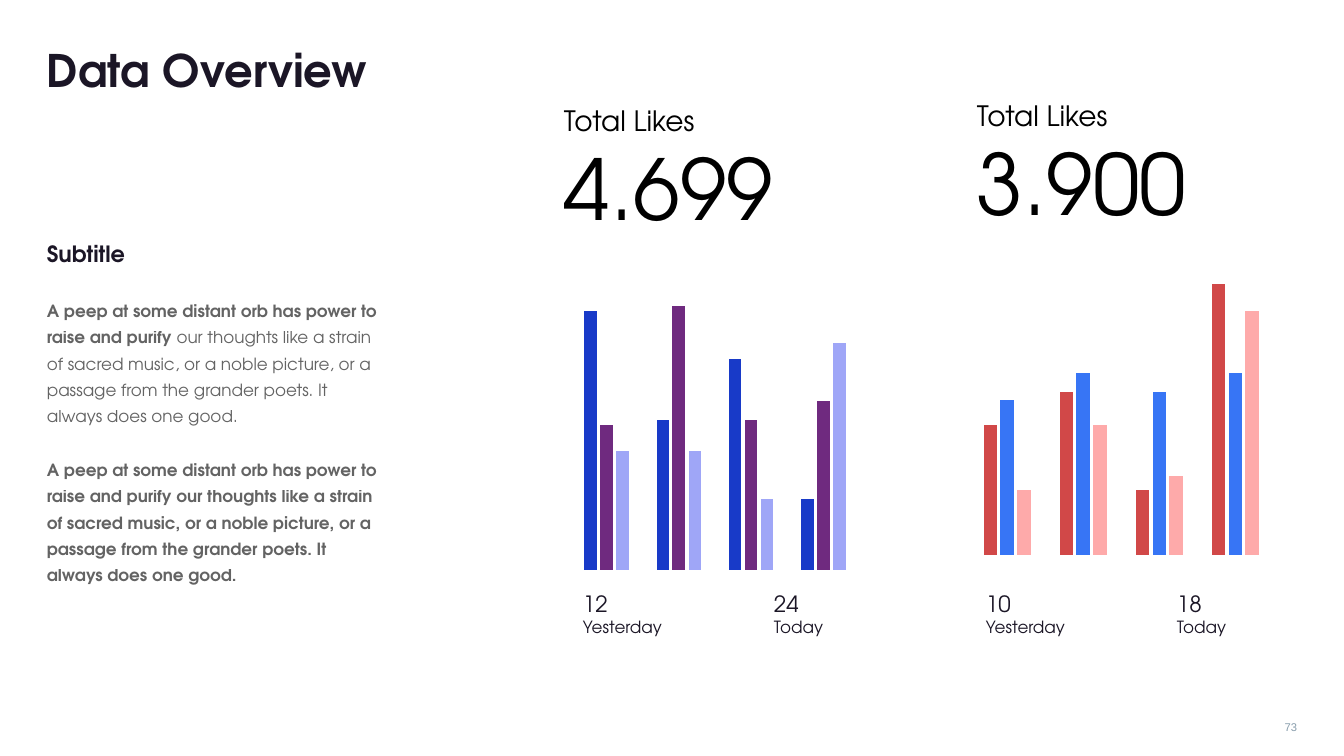
"""Build the Data Overview slide: text column, two totals and two column charts."""
from lxml.etree import SubElement
from pptx import Presentation
from pptx.chart.data import CategoryChartData
from pptx.dml.color import RGBColor
from pptx.enum.chart import XL_CHART_TYPE, XL_TICK_LABEL_POSITION, XL_TICK_MARK
from pptx.enum.text import MSO_ANCHOR, PP_ALIGN
from pptx.oxml import parse_xml
from pptx.oxml.ns import nsdecls, qn
from pptx.util import Pt

SCALE = 914400 / 100.8
FONT = "TeX Gyre Adventor"
COLORS = {
    "ink": "1B1626", "body": "222222", "black": "000000", "page": "889DAC",
    "blue": "183AC8", "purple": "6F2A7F", "lilac": "9FA6F7",
    "red": "D14848", "sky": "3775F5", "pink": "FEAAAA",
}
TITLE = "Data Overview"
SUBTITLE = "Subtitle"
LEAD = "A peep at some distant orb has power to raise and purify "
REST = ("our thoughts like a strain of sacred music, or a noble picture, "
        "or a passage from the grander poets. It always does one good.")
PAGE = "73"
CATEGORIES = ["1", "2", "3", "4"]
PLOT = {"x": 0.038, "y": 0.05, "w": 0.957, "h": 0.921}
PANELS = [
    {"heading": "Total Likes", "total": "4.699", "heading_at": (564, 103),
     "chart_at": (559, 254, 302, 326), "top": 113.6, "step": 28,
     "series": [("Series 1", "blue", (98, 57, 80, 27)),
                ("Series 2", "purple", (55, 100, 57, 64)),
                ("Series 3", "lilac", (45, 45, 27, 86))],
     "days_left": 573, "days": [("12", "Yesterday"), ("24", "Today")]},
    {"heading": "Total Likes", "total": "3.900", "heading_at": (977, 98),
     "chart_at": (957, 214, 318, 351), "top": 119.5, "step": 30,
     "series": [("Series 1", "red", (48, 60, 24, 100)),
                ("Series 2", "sky", (57, 67, 60, 67)),
                ("Series 3", "pink", (24, 48, 29, 90))],
     "days_left": 976, "days": [("10", "Yesterday"), ("18", "Today")]},
]
DAYS_TOP, DAYS_PITCH = 585, 191


def px(*lengths):
    return [round(length * SCALE) for length in lengths]


def color(name):
    return RGBColor.from_string(COLORS[name])


def style(run, size, color_name, bold=False, font=FONT, alpha=None):
    run.font.name, run.font.size, run.font.bold = font, Pt(size), bold
    run.font.color.rgb = color(color_name)
    if alpha:
        rgb = run.font.fill._xPr.find(qn("a:solidFill"))[0]
        SubElement(rgb, qn("a:alpha")).set("val", str(alpha * 1000))


def add_frame(slide, *box):
    frame = slide.shapes.add_textbox(*px(*box)).text_frame
    frame.word_wrap = True
    return frame


def add_pair(frame, upper, lower, sizes, color_name):
    paragraph = frame.paragraphs[0]
    paragraph.text = upper + "\v" + lower
    for run, size in zip(paragraph.runs, sizes):
        style(run, size, color_name)


def add_story(slide):
    frame = add_frame(slide, 37, 227, 357, 395)
    story = [
        [(SUBTITLE, 16, "ink", True, None)],
        [(LEAD, 12, "body", True, 70), (REST, 12, "body", False, 70)],
        [(LEAD + REST, 12, "body", True, 70)],
    ]
    for index, parts in enumerate(story):
        paragraph = frame.add_paragraph() if index else frame.paragraphs[0]
        paragraph.line_spacing = 1.3
        paragraph.space_before = Pt(20 if index else 0)
        for text, size, name, bold, alpha in parts:
            run = paragraph.add_run()
            run.text = text
            style(run, size, name, bold, alpha=alpha)


def add_columns(slide, panel):
    data = CategoryChartData()
    data.categories = CATEGORIES
    for name, _, values in panel["series"]:
        data.add_series(name, values)
    chart = slide.shapes.add_chart(
        XL_CHART_TYPE.COLUMN_CLUSTERED, *px(*panel["chart_at"]), data).chart
    chart.has_legend = chart.has_title = False
    chart.font.name, chart.font.size = FONT, Pt(10)
    chart.font.color.rgb = color("ink")
    plot = chart.plots[0]
    plot.gap_width, plot.overlap, plot.vary_by_categories = 219, -27, False
    for series, (_, name, _) in zip(plot.series, panel["series"]):
        series.format.fill.solid()
        series.format.fill.fore_color.rgb = color(name)
    for axis in (chart.category_axis, chart.value_axis):
        axis.has_major_gridlines = False
        axis.major_tick_mark = axis.minor_tick_mark = XL_TICK_MARK.NONE
        axis.tick_label_position = XL_TICK_LABEL_POSITION.NONE
        axis.format.line.fill.background()
    values = chart.value_axis
    values.minimum_scale, values.maximum_scale = 0, panel["top"]
    values.major_unit = panel["step"]
    area = chart._chartSpace.chart.plotArea
    for layout in area.findall(qn("c:layout")):
        area.remove(layout)
    sides = "".join(f'<c:{side} val="{share}"/>' for side, share in PLOT.items())
    area.insert(0, parse_xml(
        f'<c:layout {nsdecls("c")}><c:manualLayout><c:layoutTarget val="inner"/>'
        f'<c:xMode val="edge"/><c:yMode val="edge"/>{sides}'
        '</c:manualLayout></c:layout>'))


def add_panel(slide, panel):
    heading = add_frame(slide, *panel["heading_at"], 310, 136)
    heading.margin_left = heading.margin_right = 0
    heading.margin_top = heading.margin_bottom = 0
    add_pair(heading, panel["heading"], panel["total"], (20, 60), "black")
    add_columns(slide, panel)
    for index, (count, day) in enumerate(panel["days"]):
        left = panel["days_left"] + index * DAYS_PITCH
        add_pair(add_frame(slide, left, DAYS_TOP, 114, 60), count, day, (16, 12), "ink")


def main():
    deck = Presentation()
    deck.slide_width, deck.slide_height = px(1344, 756)
    slide = deck.slides.add_slide(deck.slide_layouts[6])
    title = add_frame(slide, 37, 36, 1269, 67)
    title.vertical_anchor = MSO_ANCHOR.MIDDLE
    title.text = TITLE
    style(title.paragraphs[0].runs[0], 32, "ink", True)
    add_story(slide)
    for panel in PANELS:
        add_panel(slide, panel)
    page = add_frame(slide, 1251, 715, 56, 24)
    page.text = PAGE
    page.paragraphs[0].alignment = PP_ALIGN.RIGHT
    style(page.paragraphs[0].runs[0], 8, "page", font="Arial")
    deck.save("out.pptx")


if __name__ == "__main__":
    main()
